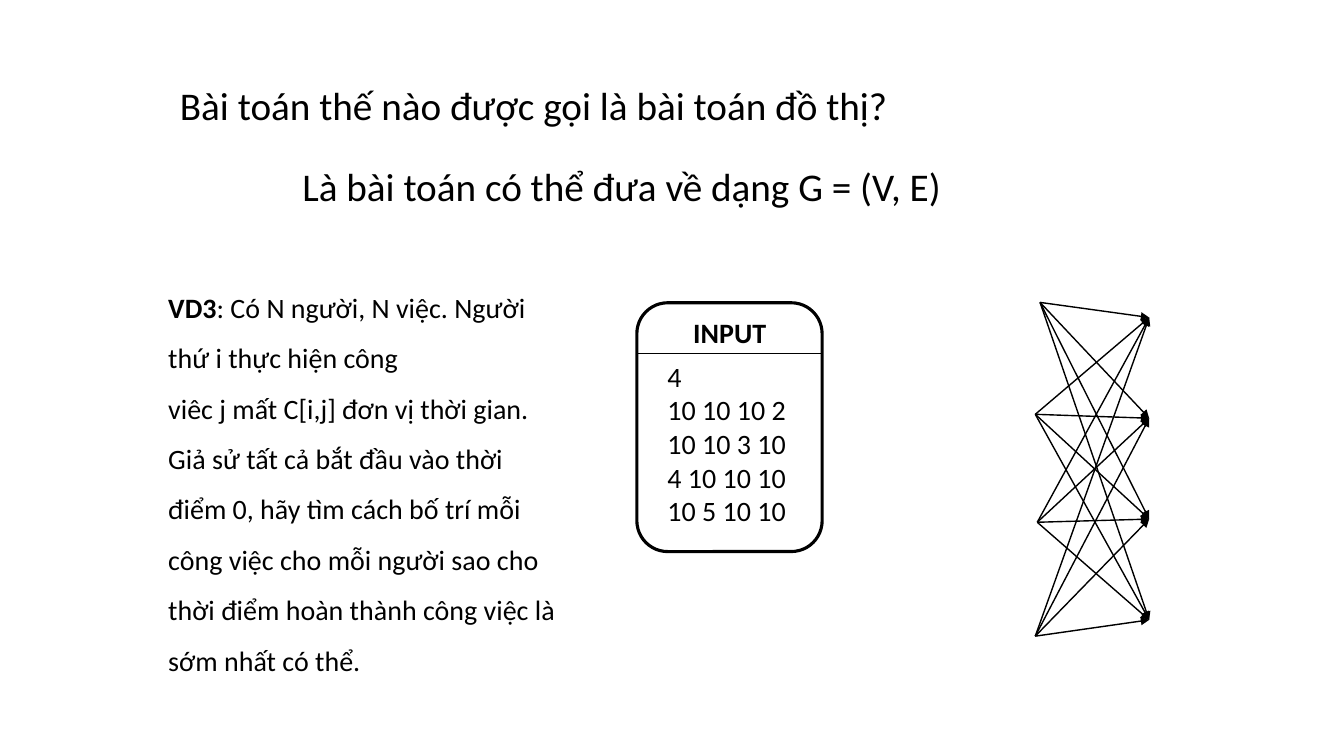
from itertools import product

from lxml import etree
from pptx import Presentation
from pptx.dml.color import RGBColor
from pptx.enum.shapes import MSO_CONNECTOR as Connector, MSO_SHAPE as Shape
from pptx.enum.text import MSO_ANCHOR as Anchor, MSO_AUTO_SIZE as AutoSize, PP_ALIGN as Align
from pptx.oxml.ns import qn
from pptx.util import Cm, Pt


def color(hex_string):
    return RGBColor.from_string(hex_string)


def tied(phrase):
    """Keep the words of a phrase on one line with no-break spaces."""
    return phrase.replace(" ", chr(160))


def write(frame, *paragraphs, size=20, bold=False, spacing=1.0, font="Calibri", ink="000000"):
    """Fill a frame; each paragraph is a string or a list of (text, bold) runs."""
    frame.word_wrap = True
    frame.auto_size = AutoSize.NONE
    frame.vertical_anchor = Anchor.TOP
    for index, content in enumerate(paragraphs):
        paragraph = frame.add_paragraph() if index else frame.paragraphs[0]
        paragraph.alignment = Align.LEFT
        paragraph.line_spacing = spacing
        runs = [(content, bold)] if isinstance(content, str) else content
        for text, is_bold in runs:
            run = paragraph.add_run()
            run.text = text
            run.font.name = font
            run.font.size = Pt(size)
            run.font.bold = is_bold
            run.font.color.rgb = color(ink)


class GraphSlide:
    INK = "000000"
    PAPER = "FFFFFF"

    def __init__(self, deck):
        self.slide = deck.slides.add_slide(deck.slide_layouts[5])
        self.shapes = self.slide.shapes

    def title(self, text, left, top, width, height, **style):
        heading = self.shapes.title
        heading.left, heading.top = Cm(left), Cm(top)
        heading.width, heading.height = Cm(width), Cm(height)
        write(heading.text_frame, text, **style)

    def text(self, left, top, width, height, *paragraphs, **style):
        box = self.shapes.add_textbox(Cm(left), Cm(top), Cm(width), Cm(height))
        write(box.text_frame, *paragraphs, **style)

    def card(self, left, top, width, height):
        card = self.shapes.add_shape(Shape.ROUNDED_RECTANGLE,
                                     Cm(left), Cm(top), Cm(width), Cm(height))
        card.shadow.inherit = False
        card.fill.solid()
        card.fill.fore_color.rgb = color(self.PAPER)
        card.line.color.rgb = color(self.INK)
        card.line.width = Pt(2.25)

    def line(self, start, end, width, arrow=False):
        line = self.shapes.add_connector(Connector.STRAIGHT, *map(Cm, start + end))
        line.line.color.rgb = color(self.INK)
        line.line.width = Pt(width)
        properties = line._element.spPr
        if arrow:
            etree.SubElement(properties.find(qn("a:ln")), qn("a:tailEnd"), type="triangle")
        etree.SubElement(properties, qn("a:effectLst"))


def main():
    deck = Presentation()
    deck.slide_width, deck.slide_height = Cm(33.87), Cm(19.05)
    page = GraphSlide(deck)

    page.title("Bài toán thế nào được gọi là bài toán đồ thị?", 4.28, 1.92, 19.63, 1.45, size=28)

    people = [(26.21, 7.62), (26.09, 10.44), (26.14, 13.16), (26.09, 16.03)]
    jobs = [(28.96, 8 + 2.54 * row) for row in range(4)]
    for person, job in product(people, jobs):
        page.line(person, job, 1, arrow=True)

    problem = (f": {tied('Có N người, N việc.')} Người {tied('thứ i thực')} hiện công "
               f"{tied('viêc j mất C[i,j] đơn')} vị thời gian. Giả sử tất cả bắt đầu "
               f"vào thời {tied('điểm 0,')} hãy tìm cách bố trí mỗi công việc cho mỗi "
               "người sao cho thời điểm hoàn thành công việc là sớm nhất có thể.")
    page.text(3.99, 6.77, 10.62, 10.39, [("VD3", True), (problem, False)], spacing=1.5)

    card_left, card_width, divider = 16.05, 4.67, 8.9
    page.card(card_left, 7.63, card_width, 6.27)
    page.text(16.57, 8.93, 4.14, 4.52,
              "4", "10 10 10 2", "10 10 3 10", "4 10 10 10", "10 5 10 10")
    page.line((card_left, divider), (card_left + card_width, divider), 0.5)
    page.text(17.22, 7.82, 2.97, 1.12, "INPUT", bold=True)

    page.text(7.37, 3.96, 17.37, 1.45, "Là bài toán có thể đưa về dạng G = (V, E)", size=28)

    deck.save("out.pptx")


if __name__ == "__main__":
    main()
